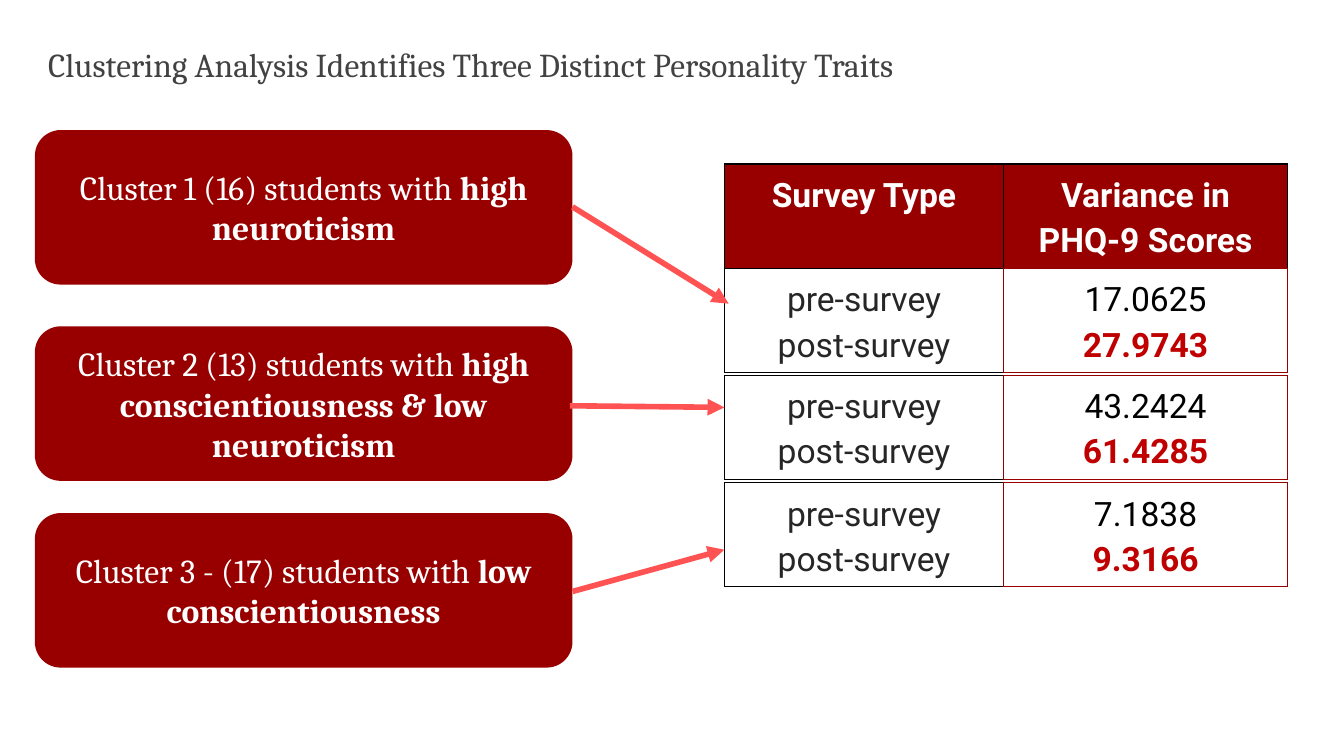
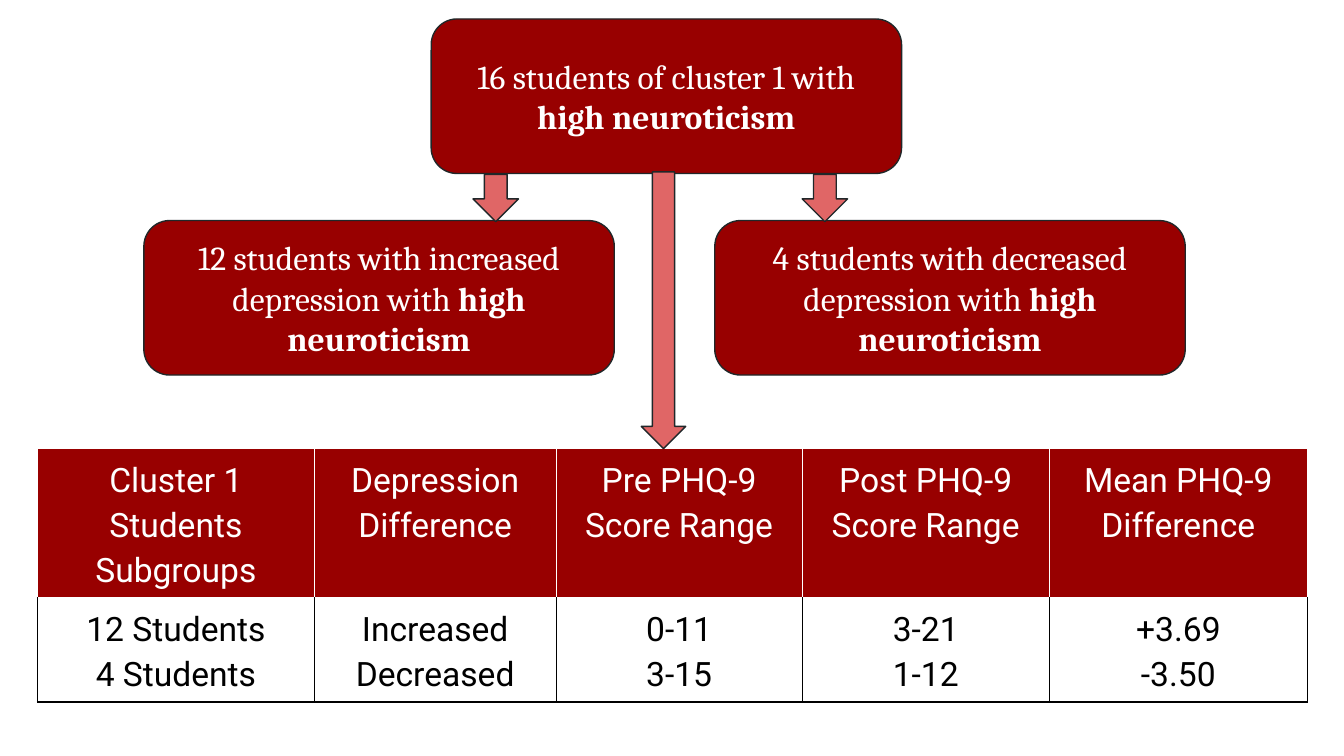
from dataclasses import dataclass

from lxml.etree import SubElement
from pptx import Presentation
from pptx.dml.color import RGBColor
from pptx.enum.shapes import MSO_CONNECTOR, MSO_SHAPE
from pptx.enum.text import MSO_ANCHOR, MSO_AUTO_SIZE, PP_ALIGN
from pptx.oxml.ns import qn
from pptx.util import Cm, Pt


@dataclass(frozen=True)
class Theme:
    band: str = "980000"
    link: str = "FF5252"
    arrow: str = "E06666"
    outline: str = "202729"
    title: str = "424242"
    label: str = "262626"
    rise: str = "C00000"
    white: str = "FFFFFF"
    black: str = "000000"
    serif: str = "Cambria"
    sans: str = "Roboto"
    title_size: float = 17.9
    size: float = 18
    border: float = 0.68
    inset: float = 0.25


T = Theme()

# Content: clusters and their survey variance
TITLE = "Clustering Analysis Identifies Three Distinct Personality Traits"
CLUSTERS = [
    ("Cluster 1 (16) students with ", "high neuroticism"),
    ("Cluster 2 (13) students with ", "high conscientiousness & low neuroticism"),
    ("Cluster 3 - (17) students with ", "low conscientiousness"),
]
SURVEY_HEADER = ["Survey Type", "Variance in PHQ-9 Scores"]
SURVEYS = ["pre-survey", "post-survey"]
VARIANCES = [("17.0625", "27.9743"), ("43.2424", "61.4285"), ("7.1838", "9.3166")]

# Content: subgroups of cluster 1
SUBGROUPS = [
    ("16 students of cluster 1 with ", "high neuroticism"),
    ("12 students with increased depression with ", "high neuroticism"),
    ("4 students with decreased depression with ", "high neuroticism"),
]
RANGES = {
    "Cluster 1 Students Subgroups": ("12 Students", "4 Students"),
    "Depression Difference": ("Increased", "Decreased"),
    "Pre PHQ-9 Score Range": ("0-11", "3-15"),
    "Post PHQ-9 Score Range": ("3-21", "1-12"),
    "Mean PHQ-9 Difference": ("+3.69", "-3.50"),
}

# Layout in centimetres
BOX_H = 2.92
CLUSTER_X, CLUSTER_W = 0.66, 10.16
CLUSTER_TOPS = [2.46, 6.17, 9.7]
SURVEY_X, SURVEY_COLS = 13.69, [5.28, 5.36]
SURVEY_TOPS = [3.1, 7.09, 9.12]
ROW_H = 1.97
LINKS = [(10.82, 3.91, 13.77, 5.74), (10.82, 11.18, 13.69, 10.39),
         (10.77, 7.67, 13.69, 7.7)]
SUBGROUP_W = 8.89
SUBGROUP_SPOTS = [(8.15, 0.36), (2.72, 4.17), (13.51, 4.17)]
ARROWS = [(8.94, 3.3, 0.86, 0.89), (12.12, 3.25, 0.84, 5.23), (15.16, 3.3, 0.86, 0.89)]
RANGE_X, RANGE_TOP, RANGE_HEAD_H = 0.71, 8.48, 2.82
RANGE_COLS = [5.23, 4.57, 4.65, 4.67, 4.88]


def rgb(color):
    return RGBColor.from_string(color)


# Text
def add_run(p, text, font, color, bold=False, size=T.size):
    r = p.add_run()
    r.text = text
    r.font.name, r.font.size, r.font.bold = font, Pt(size), bold
    r.font.color.rgb = rgb(color)


def set_insets(tf):
    tf.word_wrap = True
    tf.margin_left = tf.margin_right = tf.margin_top = tf.margin_bottom = Cm(T.inset)


def add_title(s, text):
    sp = s.shapes.title
    sp.left, sp.top, sp.width, sp.height = Cm(0.66), Cm(0.64), Cm(23.67), Cm(2.31)
    tf = sp.text_frame
    set_insets(tf)
    tf.auto_size = MSO_AUTO_SIZE.NONE
    tf.vertical_anchor = MSO_ANCHOR.TOP
    p = tf.paragraphs[0]
    p.alignment, p.line_spacing = PP_ALIGN.LEFT, 0.95
    add_run(p, text, T.serif, T.title, size=T.title_size)


# Shapes
def add_block(s, kind, x, y, w, h, fill, line=None):
    sp = s.shapes.add_shape(kind, Cm(x), Cm(y), Cm(w), Cm(h))
    sp.shadow.inherit = False
    sp.fill.solid()
    sp.fill.fore_color.rgb = rgb(fill)
    if line:
        sp.line.color.rgb = rgb(line)
        sp.line.width = Pt(0.75)
    else:
        sp.line.fill.background()
    return sp


def add_box(s, x, y, w, words, line=None):
    sp = add_block(s, MSO_SHAPE.ROUNDED_RECTANGLE, x, y, w, BOX_H, T.band, line)
    tf = sp.text_frame
    set_insets(tf)
    tf.vertical_anchor = MSO_ANCHOR.MIDDLE
    p = tf.paragraphs[0]
    p.alignment = PP_ALIGN.CENTER
    plain, strong = words
    add_run(p, plain, T.serif, T.white)
    add_run(p, strong, T.serif, T.white, bold=True)


def add_link(s, x1, y1, x2, y2):
    cx = s.shapes.add_connector(MSO_CONNECTOR.STRAIGHT, Cm(x1), Cm(y1), Cm(x2), Cm(y2))
    cx.line.color.rgb = rgb(T.link)
    cx.line.width = Pt(3)
    SubElement(cx.line._get_or_add_ln(), qn("a:tailEnd"), type="triangle")
    SubElement(cx._element.spPr, qn("a:effectLst"))


# Tables
def add_grid(s, x, y, cols, rows):
    frame = s.shapes.add_table(len(rows), len(cols), Cm(x), Cm(y), Cm(sum(cols)), Cm(sum(rows)))
    table = frame.table
    table.first_row = table.horz_banding = False
    for col, w in zip(table.columns, cols):
        col.width = Cm(w)
    for row, h in zip(table.rows, rows):
        row.height = Cm(h)
    return table


def fill_cell(cell, lines, borders, fill=None):
    """lines: (text, color, bold); borders: left, right, top, bottom colours."""
    tcPr = cell._tc.get_or_add_tcPr()
    for side, color in zip("LRTB", borders):
        ln = SubElement(tcPr, qn(f"a:ln{side}"), w=str(Pt(T.border)))
        SubElement(SubElement(ln, qn("a:solidFill")), qn("a:srgbClr"), val=color)
    if fill:
        cell.fill.solid()
        cell.fill.fore_color.rgb = rgb(fill)
    else:
        cell.fill.background()
    cell.margin_left = cell.margin_right = Cm(T.inset)
    cell.margin_top = cell.margin_bottom = Cm(T.inset / 2)
    tf = cell.text_frame
    for i, (text, color, bold) in enumerate(lines):
        p = tf.add_paragraph() if i else tf.paragraphs[0]
        p.alignment, p.line_spacing = PP_ALIGN.CENTER, 1.15
        add_run(p, text, T.sans, color, bold)


def add_survey_table(s, top, variance, header=()):
    rows = [ROW_H] * (2 if header else 1)
    table = add_grid(s, SURVEY_X, top, SURVEY_COLS, rows)
    for c, text in enumerate(header):
        bottom = T.band if c else T.black
        fill_cell(table.cell(0, c), [(text, T.white, True)], [T.black] * 3 + [bottom], T.band)
    last = len(rows) - 1
    fill_cell(table.cell(last, 0), [(name, T.label, False) for name in SURVEYS],
              [T.black, T.band, T.black, T.black])
    pre, post = variance
    fill_cell(table.cell(last, 1), [(pre, T.black, False), (post, T.rise, True)], [T.band] * 4)


def add_range_table(s):
    table = add_grid(s, RANGE_X, RANGE_TOP, RANGE_COLS, [RANGE_HEAD_H, ROW_H])
    for c, (head, values) in enumerate(RANGES.items()):
        fill_cell(table.cell(0, c), [(head, T.white, False)], [T.white] * 4, T.band)
        fill_cell(table.cell(1, c), [(v, T.black, False) for v in values],
                  [T.black, T.black, T.white, T.black])


# Slides
def build_clusters(prs):
    s = prs.slides.add_slide(prs.slide_layouts[5])
    add_title(s, TITLE)
    for top, words in zip(CLUSTER_TOPS, CLUSTERS):
        add_box(s, CLUSTER_X, top, CLUSTER_W, words)
    for i, (top, variance) in enumerate(zip(SURVEY_TOPS, VARIANCES)):
        add_survey_table(s, top, variance, () if i else SURVEY_HEADER)
    for ends in LINKS:
        add_link(s, *ends)


def build_subgroups(prs):
    s = prs.slides.add_slide(prs.slide_layouts[6])
    add_range_table(s)
    for (x, y), words in zip(SUBGROUP_SPOTS, SUBGROUPS):
        add_box(s, x, y, SUBGROUP_W, words, T.outline)
    for place in ARROWS:
        add_block(s, MSO_SHAPE.DOWN_ARROW, *place, T.arrow, T.outline)


def main():
    prs = Presentation()
    prs.slide_width, prs.slide_height = Cm(25.4), Cm(14.29)
    build_clusters(prs)
    build_subgroups(prs)
    prs.save("out.pptx")


if __name__ == "__main__":
    main()
